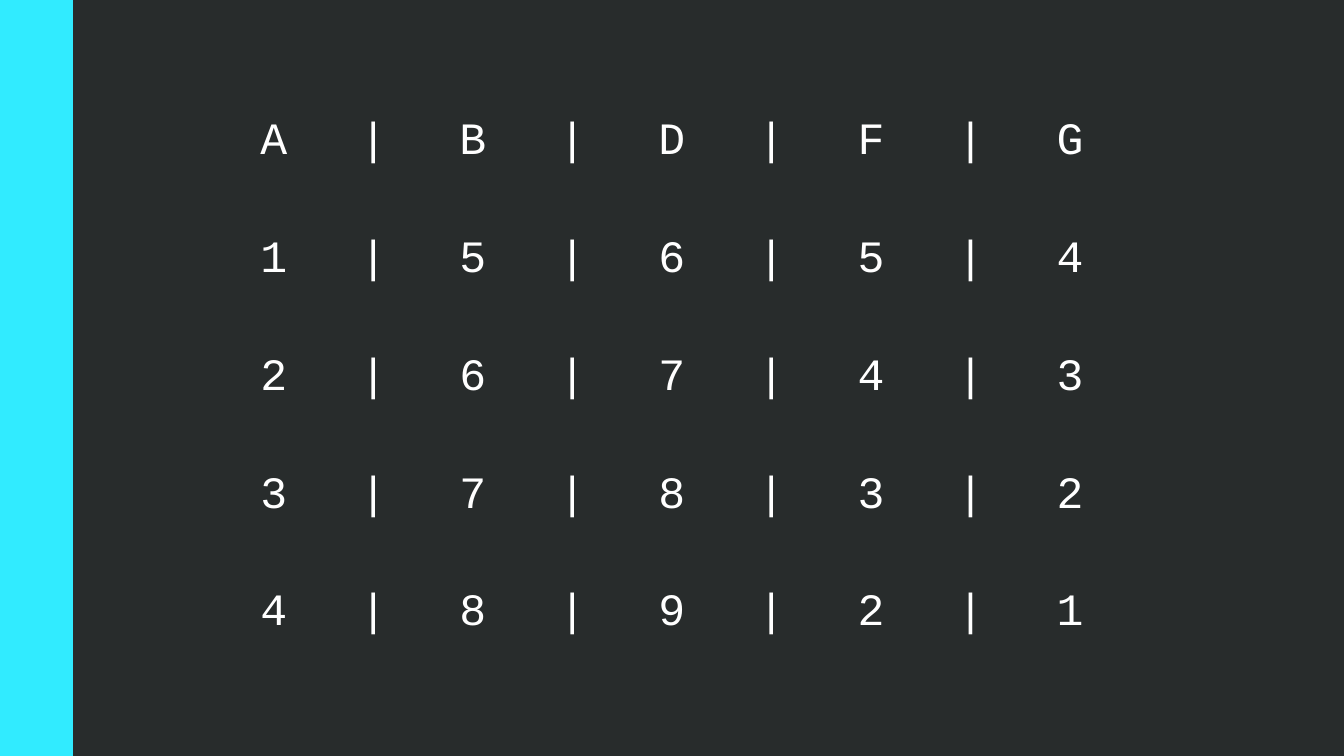
import dataclasses

import pptx
import pptx.dml.color
import pptx.enum.shapes
import pptx.enum.text
import pptx.oxml.ns
import pptx.util
from lxml import etree

EMU_PER_PX = 914400 / 134.4
PAGE_WIDTH, PAGE_HEIGHT = 1344, 756


@dataclasses.dataclass(frozen=True)
class Theme:
    background: str = "282C2C"
    accent: str = "31EBFF"
    text: str = "FFFFFF"
    font: str = "Courier New"
    size: int = 24


THEME = Theme()
ROWS = ["ABDFG", "15654", "26743", "37832", "48921"]


def px(length):
    return pptx.util.Emu(round(length * EMU_PER_PX))


def paint(fill, color):
    fill.solid()
    fill.fore_color.rgb = pptx.dml.color.RGBColor.from_string(color)


def hide_borders(cell):
    properties = cell._tc.get_or_add_tcPr()
    for index, side in enumerate(("a:lnL", "a:lnR", "a:lnT", "a:lnB")):
        line = etree.Element(pptx.oxml.ns.qn(side))
        etree.SubElement(line, pptx.oxml.ns.qn("a:noFill"))
        properties.insert(index, line)


def add_side_bar(page, left, top, width, height):
    bar = page.shapes.add_shape(
        pptx.enum.shapes.MSO_SHAPE.RECTANGLE, px(left), px(top), px(width), px(height))
    bar.shadow.inherit = False
    paint(bar.fill, THEME.accent)
    bar.line.fill.background()


def write_cell(cell, text):
    cell.fill.background()
    hide_borders(cell)
    cell.vertical_anchor = pptx.enum.text.MSO_ANCHOR.MIDDLE
    para = cell.text_frame.paragraphs[0]
    para.alignment = pptx.enum.text.PP_ALIGN.CENTER
    span = para.add_run()
    span.text = text
    span.font.name = THEME.font
    span.font.size = pptx.util.Pt(THEME.size)
    span.font.color.rgb = pptx.dml.color.RGBColor.from_string(THEME.text)


def add_value_table(page, left, top, width, height):
    """Add the rows, with a bar in its own column between each two values."""
    rows = ["|".join(values) for values in ROWS]
    table = page.shapes.add_table(
        len(rows), len(rows[0]), px(left), px(top), px(width), px(height)).table
    table.first_row = False
    table.horz_banding = False
    for row_index, texts in enumerate(rows):
        for column_index, text in enumerate(texts):
            write_cell(table.cell(row_index, column_index), text)


def main():
    deck = pptx.Presentation()
    deck.slide_width, deck.slide_height = px(PAGE_WIDTH), px(PAGE_HEIGHT)
    page = deck.slides.add_slide(deck.slide_layouts[6])
    paint(page.background.fill, THEME.background)
    add_side_bar(page, 0, 0, 73, PAGE_HEIGHT)
    add_value_table(page, 224, 83, 896, 590)
    deck.save("out.pptx")


if __name__ == "__main__":
    main()
